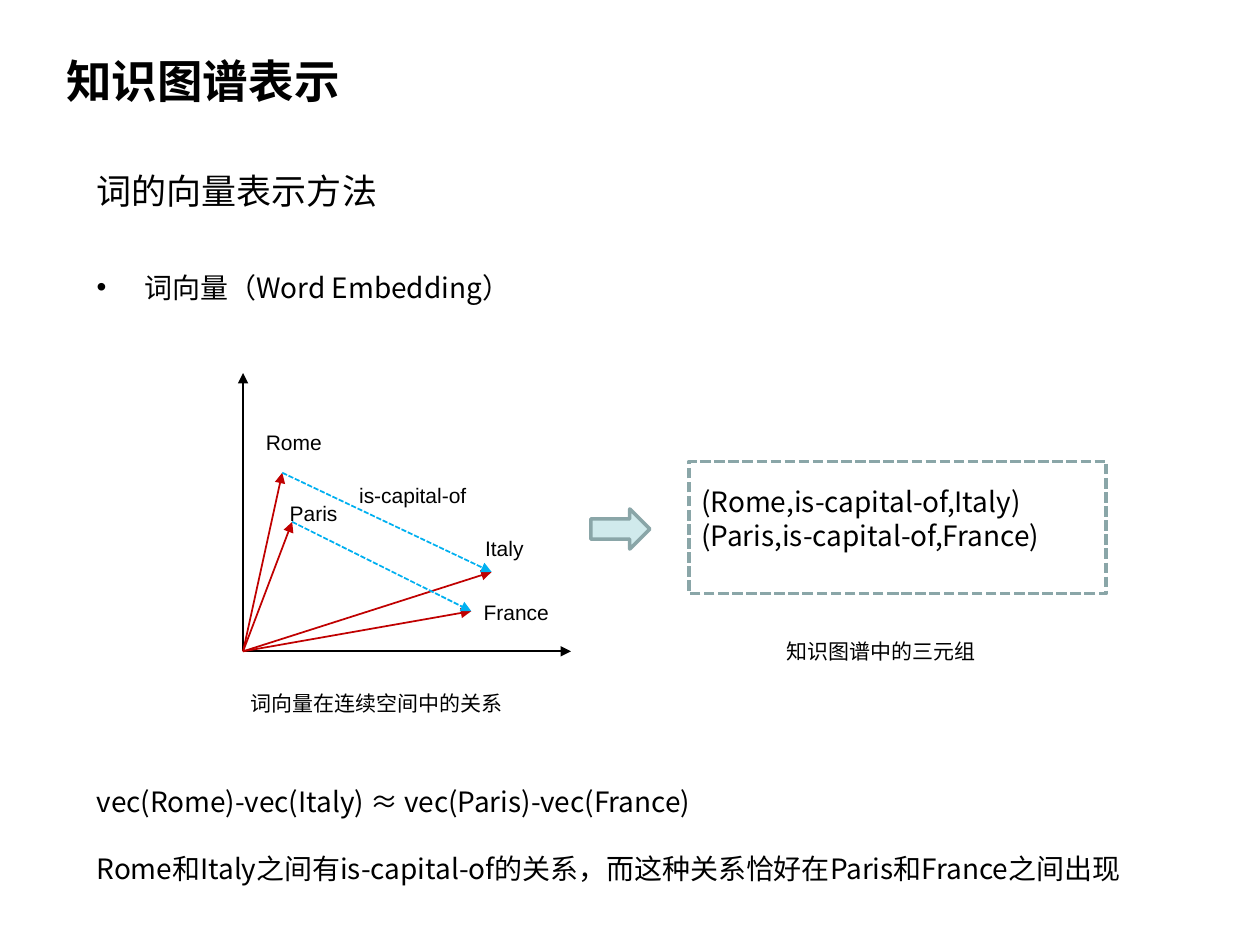
from lxml import etree
from pptx import Presentation
from pptx import util as u
from pptx.dml.color import RGBColor
from pptx.enum import dml, shapes, text
from pptx.oxml import ns

BLACK = RGBColor(0x00, 0x00, 0x00)
RED = RGBColor(0xC0, 0x00, 0x00)
BLUE = RGBColor(0x00, 0xB0, 0xF0)
TEAL = RGBColor(0x8A, 0xA6, 0xA8)
PALE_TEAL = RGBColor(0xD0, 0xEA, 0xEC)
LATIN, CJK = "Arial", "Noto Sans CJK SC"

# Content: lengths in cm
TITLE = "知识图谱表示"
HEADING = "词的向量表示方法"
BULLET = "词向量（Word Embedding）"
TRIPLES = ["(Rome,is-capital-of,Italy)", "(Paris,is-capital-of,France)"]
FORMULA = "vec(Rome)-vec(Italy) ≈ vec(Paris)-vec(France)"
EXPLANATION = "Rome和Italy之间有is-capital-of的关系，而这种关系恰好在Paris和France之间出现"

ORIGIN = (4.9, 13.13)
AXIS_ENDS = [(4.9, 7.52), (11.51, 13.13)]
WORDS = {
    "Rome": (5.69, 9.53),
    "Paris": (5.89, 10.52),
    "Italy": (9.91, 11.53),
    "France": (9.5, 12.32),
}
CAPITALS = [("Rome", "Italy"), ("Paris", "France")]
LABELS = [  # wording, left, top, width
    ("Rome", 5.11, 8.53, 1.8),
    ("Paris", 5.59, 9.96, 1.8),
    ("Italy", 9.53, 10.67, 1.8),
    ("France", 9.5, 11.96, 2.08),
    ("is-capital-of", 6.99, 9.6, 3.02),
    ("词向量在连续空间中的关系", 4.8, 13.79, 5.79),
    ("知识图谱中的三元组", 15.6, 12.75, 5),
]

prs = Presentation()
prs.slide_width, prs.slide_height = u.Cm(25.4), u.Cm(19.05)
slide = prs.slides.add_slide(prs.slide_layouts[6])


def add_text(paragraphs, box, size, font=CJK, bold=False, gap=0):
    """Add a text box; gap is the space in points between paragraphs."""
    frame = slide.shapes.add_textbox(*map(u.Cm, box)).text_frame
    frame.word_wrap = True
    for i, wording in enumerate(paragraphs):
        paragraph = frame.add_paragraph() if i else frame.paragraphs[0]
        if i and gap:
            paragraph.space_before = u.Pt(gap)
        run = paragraph.add_run()
        run.text = wording
        run.font.size, run.font.bold = u.Pt(size), bold
        run.font.color.rgb = BLACK
        run.font.name = font
        east_asian = etree.SubElement(run.font._element, ns.qn("a:ea"))
        east_asian.set("typeface", CJK)
    return frame


def add_arrow(start, end, color, dashed=False):
    arrow = slide.shapes.add_connector(
        shapes.MSO_CONNECTOR.STRAIGHT, *map(u.Cm, start + end))
    arrow.line.color.rgb = color
    arrow.line.width = u.Pt(1)
    if dashed:
        arrow.line.dash_style = dml.MSO_LINE.SQUARE_DOT
    properties = arrow._element.spPr
    head = etree.SubElement(properties.find(ns.qn("a:ln")), ns.qn("a:tailEnd"))
    head.set("type", "triangle")
    etree.SubElement(properties, ns.qn("a:effectLst"))


def add_outlined(kind, box):
    shape = slide.shapes.add_shape(kind, *map(u.Cm, box))
    shape.shadow.inherit = False
    shape.line.color.rgb = TEAL
    shape.line.width = u.Pt(2)
    return shape


# Title
title = add_text([TITLE], (1.09, 0.91, 19, 1.4), 26, LATIN, bold=True)
title.vertical_anchor = text.MSO_ANCHOR.MIDDLE

# Heading and bullet
body = add_text([HEADING, BULLET], (1.7, 3.12, 23.39, 14.81), 16, gap=30)
heading, bullet = body.paragraphs
heading.line_spacing = bullet.line_spacing = 1.2
heading.runs[0].font.size = u.Pt(20)
bullet_format = bullet._p.get_or_add_pPr()
bullet_format.set("marL", str(u.Cm(0.97)))
bullet_format.set("indent", str(-u.Cm(0.97)))
etree.SubElement(bullet_format, ns.qn("a:buFont")).set("typeface", LATIN)
etree.SubElement(bullet_format, ns.qn("a:buChar")).set("char", "•")

# Vector diagram
for axis_end in AXIS_ENDS:
    add_arrow(ORIGIN, axis_end, BLACK)
for word_point in WORDS.values():
    add_arrow(ORIGIN, word_point, RED)
for capital, country in CAPITALS:
    add_arrow(WORDS[capital], WORDS[country], BLUE, dashed=True)

# Triples
triple_frame = add_outlined(shapes.MSO_SHAPE.RECTANGLE, (13.89, 9.3, 8.41, 2.67))
triple_frame.fill.background()
triple_frame.line.dash_style = dml.MSO_LINE.SQUARE_DOT
add_text(TRIPLES, (13.89, 9.65, 8.2, 1.63), 16)
block_arrow = add_outlined(shapes.MSO_SHAPE.RIGHT_ARROW, (11.91, 10.26, 1.19, 0.81))
block_arrow.fill.solid()
block_arrow.fill.fore_color.rgb = PALE_TEAL

# Labels and captions
for wording, left, top, width in LABELS:
    add_text([wording], (left, top, width, 0.76), 12, LATIN)

# Formula and explanation
add_text([FORMULA, EXPLANATION], (1.7, 15.7, 22.3, 2.31), 16, gap=19)

prs.save("out.pptx")
